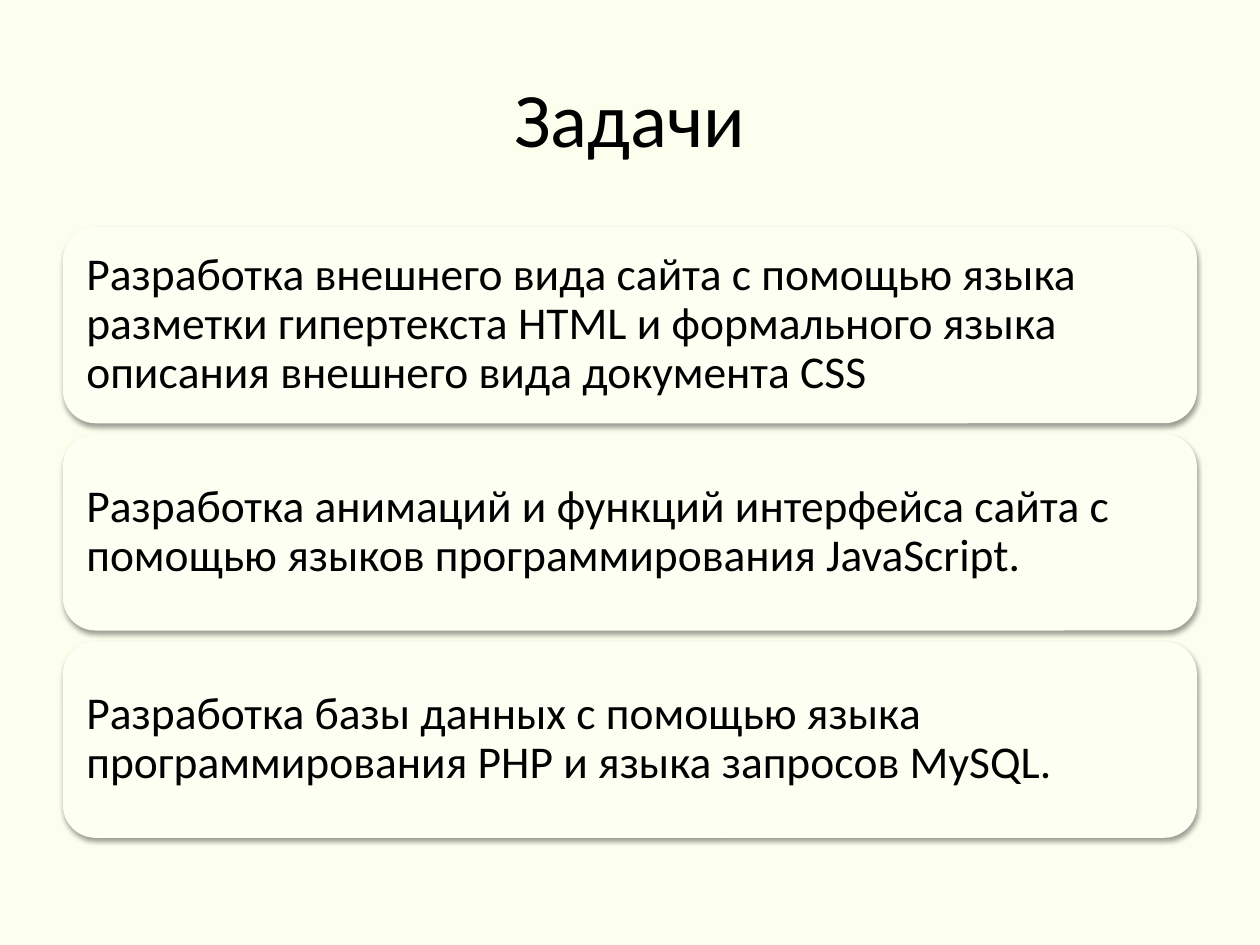
from lxml import etree
from pptx import Presentation
from pptx.dml.color import RGBColor
from pptx.enum.shapes import MSO_SHAPE
from pptx.enum.text import MSO_ANCHOR, PP_ALIGN
from pptx.oxml.ns import qn
from pptx.util import Inches, Pt

ROUNDED = MSO_SHAPE.ROUNDED_RECTANGLE
MIDDLE = MSO_ANCHOR.MIDDLE
LEFT, CENTER = PP_ALIGN.LEFT, PP_ALIGN.CENTER

BACKGROUND = RGBColor(0xFC, 0xFF, 0xEE)
CARD_FILL = RGBColor(0xFD, 0xFF, 0xF3)
BLACK = RGBColor(0, 0, 0)

MARGIN, CONTENT_WIDTH = 0.5, 9
CARDS_TOP, CARDS_BOTTOM, CARD_HEIGHT = 1.8, 6.65, 1.56

TASKS = [
    "Разработка внешнего вида сайта с помощью языка разметки гипертекста HTML "
    "и формального языка описания внешнего вида документа CSS",
    "Разработка анимаций и функций интерфейса сайта с помощью языков "
    "программирования JavaScript.",
    "Разработка базы данных с помощью языкa программирования PHP "
    "и языка запросов MySQL.",
]


class TaskSlide:
    font_name = "Calibri"

    def __init__(self, slide):
        self.slide = slide
        fill = slide.background.fill
        fill.solid()
        fill.fore_color.rgb = BACKGROUND

    def set_text(self, frame, text, size, align):
        frame.word_wrap = True
        frame.vertical_anchor = MIDDLE
        paragraph = frame.paragraphs[0]
        paragraph.text = text
        paragraph.alignment = align
        paragraph.font.name = self.font_name
        paragraph.font.size = Pt(size)
        paragraph.font.color.rgb = BLACK
        return paragraph

    def title(self, text):
        heading = self.slide.shapes.add_textbox(
            Inches(MARGIN), Inches(0.3), Inches(CONTENT_WIDTH), Inches(1.25))
        self.set_text(heading.text_frame, text, 44, CENTER)

    def card(self, text, top):
        card = self.slide.shapes.add_shape(
            ROUNDED, Inches(MARGIN), Inches(top),
            Inches(CONTENT_WIDTH), Inches(CARD_HEIGHT))
        card.fill.solid()
        card.fill.fore_color.rgb = CARD_FILL
        card.line.fill.background()
        self.drop_shadow(card)
        frame = card.text_frame
        frame.margin_left = frame.margin_right = Inches(0.11)
        frame.margin_top = frame.margin_bottom = Inches(0.11)
        self.set_text(frame, text, 26, LEFT).line_spacing = 0.9

    def drop_shadow(self, shape):
        """Give the shape a soft black shadow falling straight down."""
        shape.shadow.inherit = False
        effects = shape.element.spPr.find(qn("a:effectLst"))
        shadow = etree.SubElement(
            effects, qn("a:outerShdw"), blurRad=str(Pt(3.1)),
            dist=str(Pt(1.6)), dir="5400000", rotWithShape="0")
        color = etree.SubElement(shadow, qn("a:srgbClr"), val=str(BLACK))
        etree.SubElement(color, qn("a:alpha"), val="38000")


def main():
    presentation = Presentation()
    presentation.slide_width = Inches(10)
    presentation.slide_height = Inches(7.5)
    blank = presentation.slide_layouts[6]
    page = TaskSlide(presentation.slides.add_slide(blank))

    page.title("Задачи")
    pitch = (CARDS_BOTTOM - CARDS_TOP - CARD_HEIGHT) / (len(TASKS) - 1)
    for index, task in enumerate(TASKS):
        page.card(task, CARDS_TOP + index * pitch)

    presentation.save("out.pptx")


if __name__ == "__main__":
    main()
